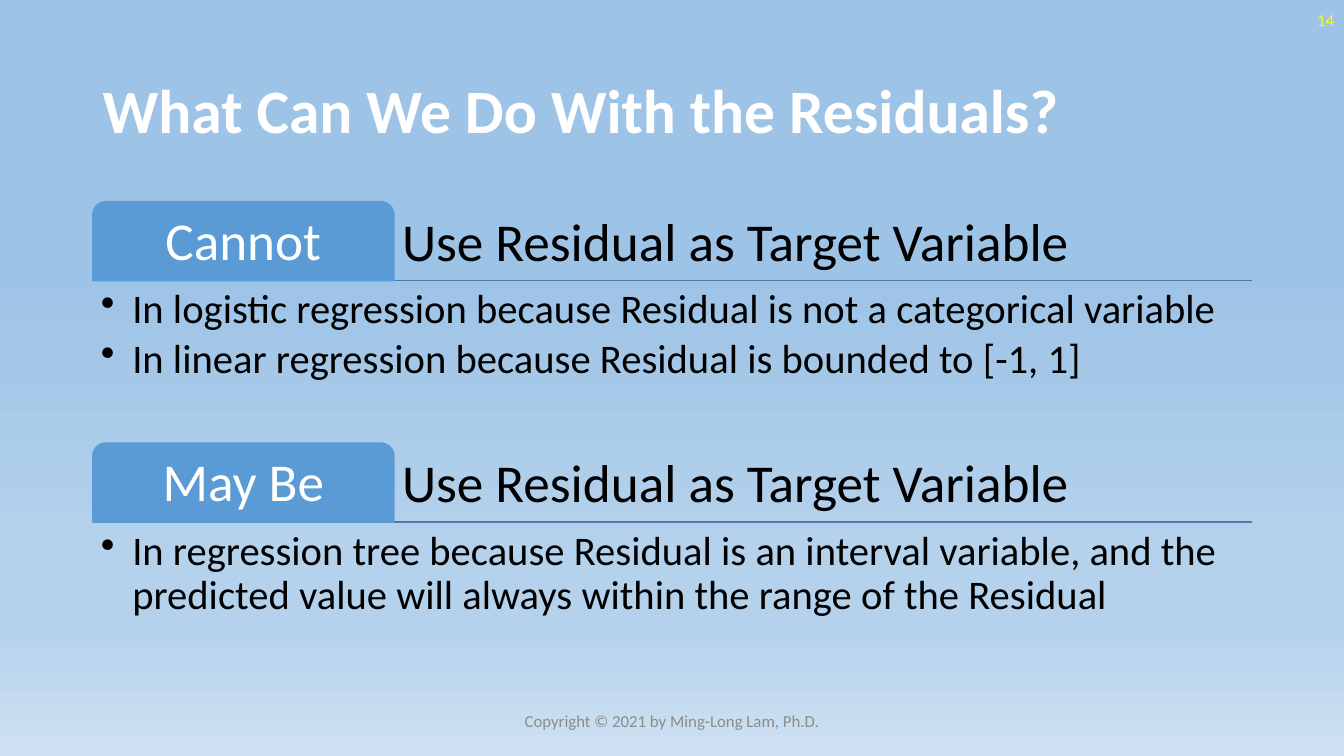
from dataclasses import dataclass

from lxml import etree
from pptx import Presentation
from pptx.dml.color import RGBColor
from pptx.enum import shapes, text
from pptx.oxml import ns
from pptx.shapes.base import BaseShape
from pptx.slide import Slide
from pptx.util import Pt

WHITE = RGBColor(0xFF, 0xFF, 0xFF)
BLACK = RGBColor(0, 0, 0)
YELLOW = RGBColor(0xFF, 0xFF, 0)
GREY = RGBColor(0x8C, 0x8C, 0x8C)
BLUE = RGBColor(0x5B, 0x9B, 0xD5)
STEEL = RGBColor(0x49, 0x7C, 0xAB)
SKY = RGBColor(0x9D, 0xC3, 0xE6)
PALE = RGBColor(0xB5, 0xD2, 0xEC)
MIST = RGBColor(0xCE, 0xE1, 0xF2)
STOPS = ((35, SKY), (74, PALE), (83, PALE), (100, MIST))

LEFT, WIDE = 66.24, 828
TOP, STEP = 144, 172.4
TAB, HIGH = 215.2, 56.5
PAD = 5.76
DENT = 22.5

LOW = text.MSO_ANCHOR.BOTTOM
MID = text.MSO_ANCHOR.MIDDLE
HEAD = text.MSO_ANCHOR.TOP
START = text.PP_ALIGN.LEFT
MIDST = text.PP_ALIGN.CENTER
END = text.PP_ALIGN.RIGHT


@dataclass
class Style:
    size: float
    color: RGBColor
    align: text.PP_ALIGN = START
    anchor: text.MSO_ANCHOR = MID
    bold: bool = False
    line: float = 0.9
    pad: tuple[float, float] = (PAD, PAD)
    list: bool = False


@dataclass
class Case:
    label: str
    claim: str
    points: list[str]


PLAIN = (7.2, 3.6)
TITLE = Style(44, WHITE, bold=True, pad=PLAIN)
PAGE = Style(12, YELLOW, END, line=1, pad=PLAIN)
FOOT = Style(12, GREY, MIDST, line=1, pad=PLAIN)
LABEL = Style(38, WHITE, MIDST)
CLAIM = Style(38, BLACK, anchor=LOW)
POINT = Style(29, BLACK, anchor=HEAD, list=True)

CASES = [
    Case("Cannot", "Use Residual as Target Variable", [
        "In logistic regression because Residual is not a categorical variable",
        "In linear regression because Residual is bounded to [-1, 1]",
    ]),
    Case("May Be", "Use Residual as Target Variable", [
        "In regression tree because Residual is an interval variable, "
        "and the predicted value will always within the range of the Residual",
    ]),
]


def write(shape: BaseShape, words: str, style: Style) -> None:
    frame = shape.text_frame
    frame.text = words
    frame.word_wrap = True
    frame.vertical_anchor = style.anchor
    side, edge = style.pad
    frame.margin_left = frame.margin_right = Pt(side)
    frame.margin_top = frame.margin_bottom = Pt(edge)
    for para in frame.paragraphs:
        para.alignment = style.align
        para.line_spacing = style.line
        if style.list:
            para.space_after = Pt(4.35)
            props = para._p.get_or_add_pPr()
            props.set("marL", str(Pt(DENT)))
            props.set("indent", str(-Pt(DENT)))
            etree.SubElement(props, ns.qn("a:buChar")).set("char", "•")
        for run in para.runs:
            run.font.name = "Calibri"
            run.font.size = Pt(style.size)
            run.font.bold = style.bold
            run.font.color.rgb = style.color


def label(slide: Slide, words: str, x: float, y: float, w: float, h: float,
          style: Style) -> None:
    box = slide.shapes.add_textbox(Pt(x), Pt(y), Pt(w), Pt(h))
    write(box, words, style)


def paint(slide: Slide) -> None:
    fill = slide.background.fill
    fill.gradient()
    fill.gradient_angle = 270
    stops = next(slide.element.iter(ns.qn("a:gsLst")))
    for old in list(stops):
        stops.remove(old)
    for place, color in STOPS:
        stop = etree.SubElement(stops, ns.qn("a:gs"), pos=str(place * 1000))
        etree.SubElement(stop, ns.qn("a:srgbClr"), val=str(color))


def draw(slide: Slide, case: Case, top: float) -> None:
    base = top + HIGH
    rule = slide.shapes.add_connector(
        shapes.MSO_CONNECTOR.STRAIGHT,
        Pt(LEFT), Pt(base), Pt(LEFT + WIDE), Pt(base))
    rule.line.color.rgb = STEEL
    rule.line.width = Pt(1)
    etree.SubElement(rule._element.spPr, ns.qn("a:effectLst"))

    tab = slide.shapes.add_shape(
        shapes.MSO_SHAPE.ROUND_2_SAME_RECTANGLE,
        Pt(LEFT), Pt(top), Pt(TAB), Pt(HIGH))
    tab.shadow.inherit = False
    tab.fill.solid()
    tab.fill.fore_color.rgb = BLUE
    tab.line.color.rgb = BLUE
    tab.line.width = Pt(1)
    write(tab, case.label, LABEL)

    label(slide, case.claim, LEFT + TAB, top, WIDE - TAB, HIGH, CLAIM)
    label(slide, "\n".join(case.points), LEFT, base, WIDE, 113, POINT)


def main() -> None:
    deck = Presentation()
    deck.slide_width, deck.slide_height = Pt(960), Pt(540)
    slide = deck.slides.add_slide(deck.slide_layouts[6])
    paint(slide)
    label(slide, "What Can We Do With the Residuals?",
          LEFT, 28.75, WIDE, 104.4, TITLE)
    label(slide, "14", 744, 0, 216, 28.75, PAGE)
    for row, case in enumerate(CASES):
        draw(slide, case, TOP + row * STEP)
    label(slide, "Copyright © 2021 by Ming-Long Lam, Ph.D.",
          318, 500.5, 324, 28.75, FOOT)
    deck.save("out.pptx")


if __name__ == "__main__":
    main()
